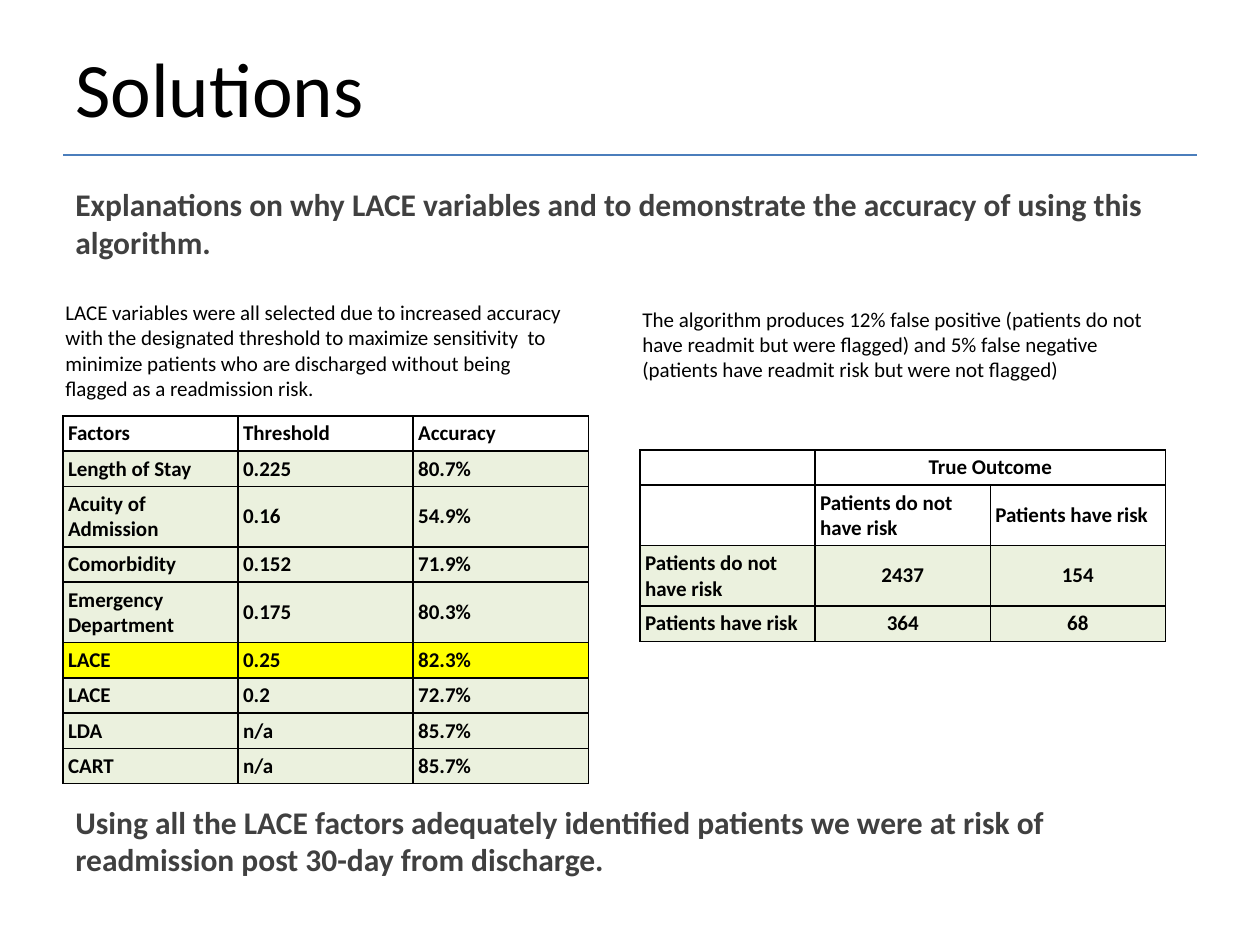
from lxml.etree import SubElement as Sub
from pptx import Presentation
from pptx.dml.color import RGBColor as RGB
from pptx.enum.shapes import MSO_CONNECTOR as Conn
from pptx.enum.text import MSO_ANCHOR as Anchor, PP_ALIGN as Align
from pptx.oxml.ns import qn
from pptx.util import Inches, Pt

THEME = dict(font="Calibri", ink="000000", grey="404040", rule="4B7EBC",
             pale="EBF1DE", mark="FFFF00", title=44, lead=18, body=12)

TEXTS = [
    ("Solutions", (0.5, 0.14, 9, 1.1),
     dict(size=THEME["title"], anchor=Anchor.MIDDLE)),
    ("Explanations on why LACE variables and to demonstrate the accuracy "
     "of using this algorithm.", (0.5, 1.42, 9, 0.71),
     dict(size=THEME["lead"], color=THEME["grey"], bold=True)),
    ("LACE variables were all selected due to increased accuracy with the "
     "designated threshold to maximize sensitivity  to minimize patients who "
     "are discharged without being flagged as a readmission risk.",
     (0.42, 2.33, 4.25, 0.91), {}),
    ("The algorithm produces 12% false positive (patients do not have readmit "
     "but were flagged) and 5% false negative (patients have readmit risk but "
     "were not flagged)", (5, 2.38, 4.25, 0.71), {}),
    ("Using all the LACE factors adequately identified patients we were at "
     "risk of readmission post 30-day from discharge.", (0.5, 6.32, 9, 0.71),
     dict(size=THEME["lead"], color=THEME["grey"], bold=True)),
]

FACTORS = [
    ("Factors", "Threshold", "Accuracy"),
    ("Length of Stay", "0.225", "80.7%"),
    ("Acuity of Admission", "0.16", "54.9%"),
    ("Comorbidity", "0.152", "71.9%"),
    ("Emergency Department", "0.175", "80.3%"),
    ("LACE", "0.25", "82.3%"),
    ("LACE", "0.2", "72.7%"),
    ("LDA", "n/a", "85.7%"),
    ("CART", "n/a", "85.7%"),
]
OUTCOMES = [
    ("", "True Outcome", ""),
    ("", "Patients do not have risk", "Patients have risk"),
    ("Patients do not have risk", "2437", "154"),
    ("Patients have risk", "364", "68"),
]
COL, LOW, TALL, WRAP = 1.39, 0.28, 0.48, 18


def write(frame, text, size=THEME["body"], color=THEME["ink"], bold=False,
          align=Align.LEFT, anchor=Anchor.TOP):
    frame.word_wrap = True
    frame.vertical_anchor = anchor
    para = frame.paragraphs[0]
    para.alignment = align
    if not text:
        Sub(para._p, qn("a:endParaRPr"), sz=str(size * 100))
        return
    run = para.add_run()
    run.text = text
    font = run.font
    font.name, font.size, font.bold = THEME["font"], Pt(size), bold
    font.color.rgb = RGB.from_string(color)


def border(cell):
    props = cell._tc.get_or_add_tcPr()
    for at, side in enumerate(("lnL", "lnR", "lnT", "lnB")):
        line = Sub(props, qn("a:" + side), w=str(Pt(1)))
        fill = Sub(line, qn("a:solidFill"))
        Sub(fill, qn("a:srgbClr"), val=THEME["ink"])
        props.insert(at, line)


def grid(slide, rows, left, top, heads, mark=None):
    highs = [TALL if max(map(len, row)) > WRAP else LOW for row in rows]
    count = len(rows[0])
    table = slide.shapes.add_table(
        len(rows), count, Inches(left), Inches(top),
        Inches(COL * count), Inches(sum(highs))).table
    table.first_row = table.horz_banding = False
    for col in table.columns:
        col.width = Inches(COL)
    for r, row in enumerate(rows):
        table.rows[r].height = Inches(highs[r])
        for c, text in enumerate(row):
            cell = table.cell(r, c)
            mid = text.isdigit() or text == "True Outcome"
            write(cell.text_frame, text, bold=True,
                  align=Align.CENTER if mid else Align.LEFT)
            cell.vertical_anchor = Anchor.MIDDLE
            cell.margin_left = cell.margin_right = Inches(0.04)
            cell.margin_top = cell.margin_bottom = Inches(0.04)
            if r < heads:
                cell.fill.background()
            else:
                cell.fill.solid()
                tint = THEME["mark" if r == mark else "pale"]
                cell.fill.fore_color.rgb = RGB.from_string(tint)
            border(cell)
    return table


def main():
    deck = Presentation()
    deck.slide_width, deck.slide_height = Inches(10), Inches(7.5)
    slide = deck.slides.add_slide(deck.slide_layouts[6])
    for text, place, style in TEXTS:
        box = slide.shapes.add_textbox(*map(Inches, place))
        write(box.text_frame, text, **style)
    rule = slide.shapes.add_connector(
        Conn.STRAIGHT, Inches(0.5), Inches(1.23), Inches(9.5), Inches(1.23))
    rule.line.color.rgb = RGB.from_string(THEME["rule"])
    rule.line.width = Pt(1)
    Sub(rule._element.spPr, qn("a:effectLst"))
    grid(slide, FACTORS, 0.5, 3.3, heads=1, mark=5)
    cross = grid(slide, OUTCOMES, 5.08, 3.57, heads=2)
    cross.cell(0, 1).merge(cross.cell(0, 2))
    deck.save("out.pptx")


if __name__ == "__main__":
    main()
